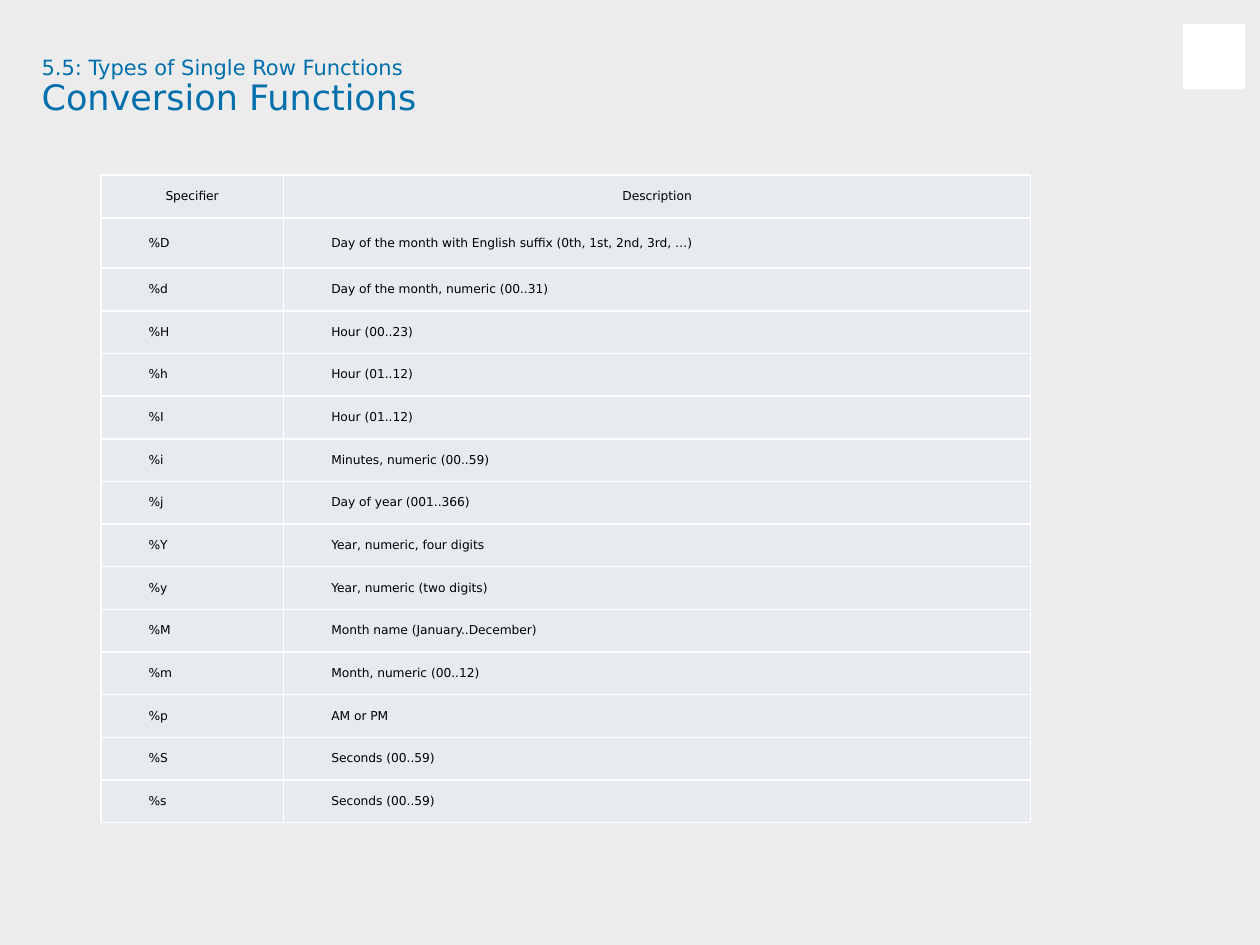
from lxml import etree
from pptx import Presentation
from pptx.dml.color import RGBColor
from pptx.enum.shapes import MSO_SHAPE
from pptx.enum.text import MSO_ANCHOR, MSO_AUTO_SIZE, PP_ALIGN
from pptx.oxml.ns import qn
from pptx.util import Inches, Pt

RECT = MSO_SHAPE.RECTANGLE
TOP, MIDDLE = MSO_ANCHOR.TOP, MSO_ANCHOR.MIDDLE
LEFT, CENTER = PP_ALIGN.LEFT, PP_ALIGN.CENTER
FIXED = MSO_AUTO_SIZE.NONE
GREY = RGBColor(0xEC, 0xEC, 0xEC)
WHITE = RGBColor(0xFF, 0xFF, 0xFF)
BLUE = RGBColor(0x00, 0x6F, 0xAC)
BLACK = RGBColor(0x00, 0x00, 0x00)
PALE = RGBColor(0xE7, 0xEB, 0xF0)
FONT = "DejaVu Sans"
INSET = ("margin_left", "margin_right", "margin_top", "margin_bottom")
FLUSH = dict.fromkeys(INSET, 0)
FRAME = {**FLUSH, "margin_top": Inches(0.01), "word_wrap": True,
         "auto_size": FIXED, "vertical_anchor": TOP}
CELL = {**FLUSH, "vertical_anchor": MIDDLE}
INDENT = Inches(0.38)
ROWS = [
    ("Specifier", "Description"),
    ("%D", "Day of the month with English suffix (0th, 1st, 2nd, 3rd, …)"),
    ("%d", "Day of the month, numeric (00..31)"),
    ("%H", "Hour (00..23)"),
    ("%h", "Hour (01..12)"),
    ("%I", "Hour (01..12)"),
    ("%i", "Minutes, numeric (00..59)"),
    ("%j", "Day of year (001..366)"),
    ("%Y", "Year, numeric, four digits"),
    ("%y", "Year, numeric (two digits)"),
    ("%M", "Month name (January..December)"),
    ("%m", "Month, numeric (00..12)"),
    ("%p", "AM or PM"),
    ("%S", "Seconds (00..59)"),
    ("%s", "Seconds (00..59)"),
]
COLS = (1.45, 5.93)
TALL = 1.18


def style(part, form):
    """Set each attribute named in the format dict."""
    for name, value in form.items():
        setattr(part, name, value)


def write(para, text, size, color, align=LEFT):
    """Put one formatted run of text in a paragraph."""
    para.alignment = align
    run = para.add_run()
    run.text = text
    style(run.font, {"name": FONT, "size": Pt(size), "bold": False})
    run.font.color.rgb = color


def heading(slide, box):
    """Place the section line above the title, both within the box."""
    left, top, width, height = box
    part = slide.shapes.add_textbox(left, top, width, int(height * 0.43))
    title = slide.shapes.title
    style(title, {"left": left, "top": top + int(height * 0.32),
                  "width": width, "height": int(height * 0.68)})
    lines = ((part, "5.5: Types of Single Row Functions", 12),
             (title, "Conversion Functions", 20))
    for shape, text, size in lines:
        style(shape.text_frame, FRAME)
        para = shape.text_frame.paragraphs[0]
        para.space_before = Pt(1)
        write(para, text, size, BLUE)


def patch(slide, box):
    """Place the plain white block in the corner."""
    shape = slide.shapes.add_shape(RECT, *box)
    shape.shadow.inherit = False
    shape.fill.solid()
    shape.fill.fore_color.rgb = WHITE
    shape.line.fill.background()


def border(cell):
    """Draw a white line on all four sides of a cell."""
    props = cell._tc.get_or_add_tcPr()
    for spot, side in enumerate(("lnL", "lnR", "lnT", "lnB")):
        line = etree.Element(qn(f"a:{side}"), w=str(Pt(1)))
        fill = etree.SubElement(line, qn("a:solidFill"))
        etree.SubElement(fill, qn("a:srgbClr"), val=str(WHITE))
        props.insert(spot, line)


def grid(slide, box):
    """Fill the box with the table of specifiers."""
    width, height = box[2:]
    table = slide.shapes.add_table(len(ROWS), len(COLS), *box).table
    style(table, {"first_row": False, "horz_banding": False})
    for col, share in zip(table.columns, COLS):
        col.width = int(width * share / sum(COLS))
    unit = height / (len(ROWS) - 1 + TALL)
    for r, texts in enumerate(ROWS):
        table.rows[r].height = int(unit * (TALL if r == 1 else 1))
        for c, text in enumerate(texts):
            cell = table.cell(r, c)
            style(cell, CELL)
            cell.fill.solid()
            cell.fill.fore_color.rgb = PALE
            border(cell)
            para = cell.text_frame.paragraphs[0]
            write(para, text, 7, BLACK, LEFT if r else CENTER)
            if r:
                para._p.get_or_add_pPr().set("marL", str(INDENT))


def main():
    """Build the slide and save it."""
    deck = Presentation()
    style(deck, {"slide_width": Inches(10), "slide_height": Inches(7.5)})
    slide = deck.slides.add_slide(deck.slide_layouts[5])
    slide.background.fill.solid()
    slide.background.fill.fore_color.rgb = GREY
    patch(slide, [Inches(n) for n in (9.39, 0.19, 0.49, 0.52)])
    heading(slide, [Inches(n) for n in (0.33, 0.42, 3.02, 0.53)])
    grid(slide, [Inches(n) for n in (0.8, 1.39, sum(COLS), 5.14)])
    deck.save("out.pptx")


if __name__ == "__main__":
    main()
